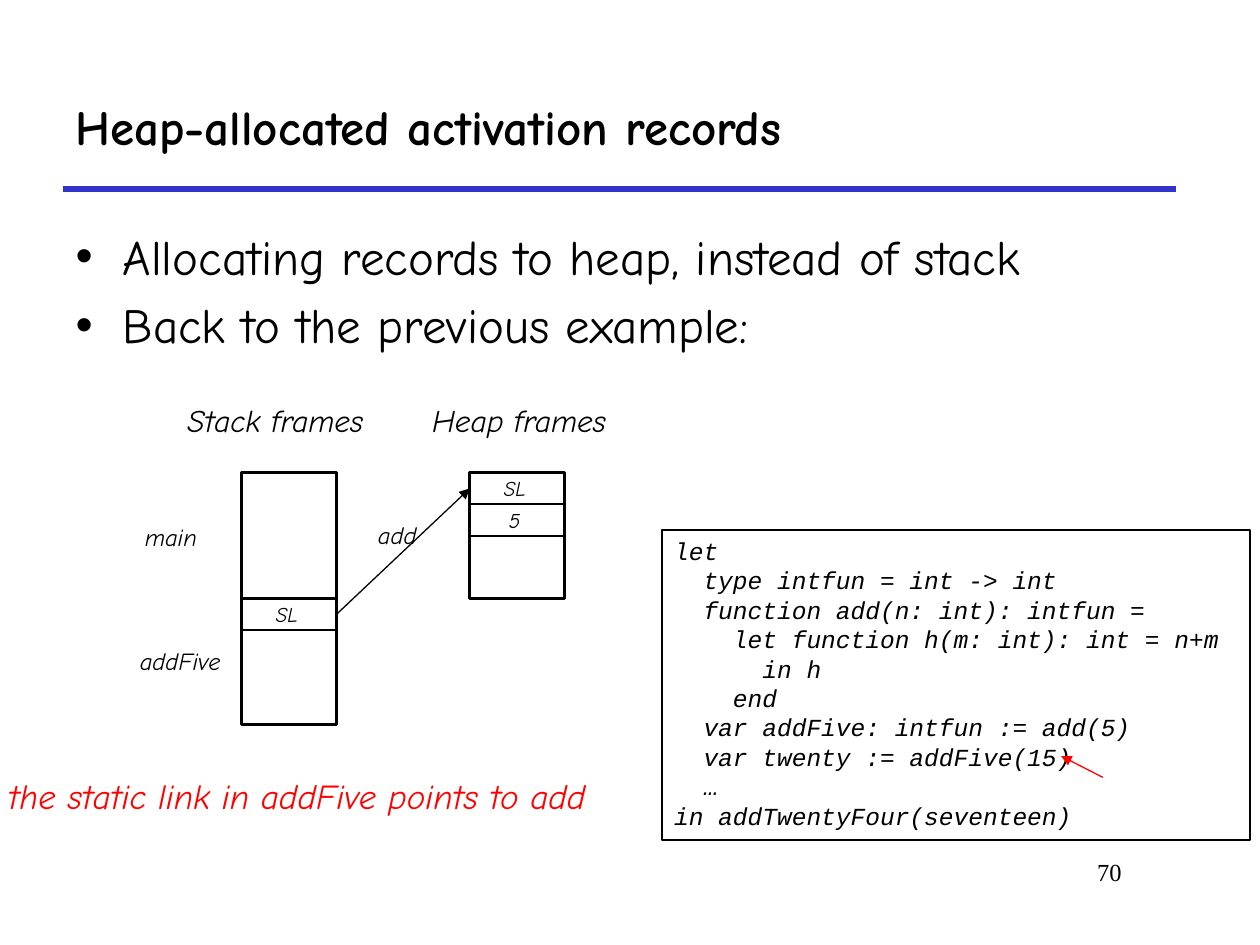
from lxml.etree import SubElement
from pptx import Presentation
from pptx.dml.color import RGBColor
from pptx.enum.shapes import MSO_CONNECTOR, MSO_SHAPE
from pptx.enum.text import MSO_ANCHOR, MSO_AUTO_SIZE, PP_ALIGN
from pptx.oxml.ns import qn
from pptx.util import Cm, Pt

BLACK = RGBColor(0x00, 0x00, 0x00)
RED = RGBColor(0xFF, 0x00, 0x00)
BLUE = RGBColor(0x33, 0x33, 0xCC)
HAND, CODE, SERIF = "Comic Neue", "Courier New", "Times New Roman"

STACK_LEFT, HEAP_LEFT, FRAMES_TOP = 4.87, 9.47, 9.53
FRAME_WIDTH, FRAME_HEIGHT = 1.91, 2.54
SLOT_HEIGHT = FRAME_HEIGHT / 4

BULLETS = [
    "Allocating records to heap, instead of stack",
    "Back to the previous example:",
]
PROGRAM = [
    "let",
    "  type intfun = int -> int",
    "  function add(n: int): intfun =",
    "    let function h(m: int): int = n+m",
    "      in h",
    "    end",
    "  var addFive: intfun := add(5)",
    "  var twenty := addFive(15)",
    "  …",
    "in addTwentyFour(seventeen)",
]
LABELS = [
    ("Stack frames", 3.53, 7.95, 4.6, 1.02, 18, BLACK),
    ("Heap frames", 8.46, 7.95, 4.39, 1.02, 18, BLACK),
    ("main", 2.67, 10.39, 1.7, 0.86, 14, BLACK),
    ("add", 7.37, 10.36, 1.35, 0.86, 14, BLACK),
    ("addFive", 2.57, 12.9, 2.31, 0.86, 14, BLACK),
    ("SL", 9.91, 9.47, 1.04, 0.76, 12, BLACK),
    ("5", 10.01, 10.11, 0.79, 0.76, 12, BLACK),
    ("SL", 5.31, 12.01, 1.04, 0.76, 12, BLACK),
    ("the static link in addFive points to add", -0.08, 15.49, 13.69, 1.12, 20, RED),
]


def place(shape, left, top, width, height):
    """Move and size a shape, in centimetres."""
    shape.left, shape.top = Cm(left), Cm(top)
    shape.width, shape.height = Cm(width), Cm(height)


def add_span(para, text, size, face=HAND, color=BLACK, bold=False, italic=False):
    """Append one formatted run to a paragraph."""
    span = para.add_run()
    span.text = text
    span.font.name = face
    span.font.size = Pt(size)
    span.font.color.rgb = color
    span.font.bold = bold
    span.font.italic = italic


def add_title(page, text):
    """Fill the title placeholder."""
    place(page.shapes.title, 1.27, 1.27, 22.43, 2.54)
    frame = page.shapes.title.text_frame
    frame.vertical_anchor = MSO_ANCHOR.MIDDLE
    frame.auto_size = MSO_AUTO_SIZE.NONE
    para = frame.paragraphs[0]
    para.alignment = PP_ALIGN.LEFT
    add_span(para, text, 28, bold=True)


def add_bullets(page, items):
    """Fill the body placeholder with a bulleted list."""
    body = page.placeholders[1]
    place(body, 1.27, 4.43, 23.06, 12.27)
    frame = body.text_frame
    frame.auto_size = MSO_AUTO_SIZE.NONE
    for index, item in enumerate(items):
        para = frame.add_paragraph() if index else frame.paragraphs[0]
        para.space_before = Pt(5.6 if index else 0)
        properties = para._p.get_or_add_pPr()
        properties.set("marL", str(Cm(0.95)))
        properties.set("indent", str(Cm(-0.95)))
        SubElement(properties, qn("a:buChar")).set("char", "•")
        add_span(para, item, 28)


def add_label(page, text, left, top, width, height, size, color):
    """Add a one-line italic label."""
    box = page.shapes.add_textbox(Cm(left), Cm(top), Cm(width), Cm(height))
    box.text_frame.word_wrap = False
    box.text_frame.auto_size = MSO_AUTO_SIZE.SHAPE_TO_FIT_TEXT
    add_span(box.text_frame.paragraphs[0], text, size, color=color, italic=True)


def add_page_number(page, number):
    """Add the right-aligned page number."""
    box = page.shapes.add_textbox(Cm(17.58), Cm(17.15), Cm(5.28), Cm(1.27))
    box.text_frame.word_wrap = True
    para = box.text_frame.paragraphs[0]
    para.alignment = PP_ALIGN.RIGHT
    add_span(para, number, 14, SERIF)


def add_rectangle(page, left, top, width, height, weight):
    """Add an unfilled rectangle with a black outline."""
    box = page.shapes.add_shape(
        MSO_SHAPE.RECTANGLE, Cm(left), Cm(top), Cm(width), Cm(height)
    )
    box.shadow.inherit = False
    box.fill.background()
    box.line.color.rgb = BLACK
    box.line.width = Pt(weight)
    return box


def add_frame(page, left, top):
    """Add the outline of an activation record."""
    return add_rectangle(page, left, top, FRAME_WIDTH, FRAME_HEIGHT, 1.5)


def add_slot(page, left, top):
    """Add one slot of an activation record."""
    return add_rectangle(page, left, top, FRAME_WIDTH, SLOT_HEIGHT, 1)


def add_program(page, lines):
    """Add the program listing in its outlined box."""
    box = add_rectangle(page, 13.34, 10.68, 11.86, 6.25, 1)
    frame = box.text_frame
    frame.word_wrap = False
    frame.auto_size = MSO_AUTO_SIZE.SHAPE_TO_FIT_TEXT
    frame.vertical_anchor = MSO_ANCHOR.TOP
    for index, line in enumerate(lines):
        para = frame.add_paragraph() if index else frame.paragraphs[0]
        para.alignment = PP_ALIGN.LEFT
        add_span(para, line, 14, CODE, italic=True)


def add_line(page, start, end, color, weight, arrow=False):
    """Add a straight line, with an arrowhead at its end if asked."""
    line = page.shapes.add_connector(
        MSO_CONNECTOR.STRAIGHT, *(Cm(value) for value in start + end)
    )
    line.line.color.rgb = color
    line.line.width = Pt(weight)
    if arrow:
        SubElement(line.line._get_or_add_ln(), qn("a:tailEnd")).set("type", "triangle")
    SubElement(line._element.spPr, qn("a:effectLst"))
    return line


def add_frames(page):
    """Draw the stack and heap records and the static link between them."""
    second_top = FRAMES_TOP + FRAME_HEIGHT
    add_frame(page, STACK_LEFT, FRAMES_TOP)
    add_frame(page, STACK_LEFT, second_top)
    add_frame(page, HEAP_LEFT, FRAMES_TOP)
    stack_link = add_slot(page, STACK_LEFT, second_top)
    heap_link = add_slot(page, HEAP_LEFT, FRAMES_TOP)
    add_slot(page, HEAP_LEFT, FRAMES_TOP + SLOT_HEIGHT)
    start = (STACK_LEFT + FRAME_WIDTH, second_top + SLOT_HEIGHT / 2)
    end = (HEAP_LEFT, FRAMES_TOP + SLOT_HEIGHT / 2)
    link = add_line(page, start, end, BLACK, 0.75, arrow=True)
    link.begin_connect(stack_link, 3)
    link.end_connect(heap_link, 1)


def main():
    """Build the slide and save it."""
    deck = Presentation()
    deck.slide_width, deck.slide_height = Cm(25.4), Cm(19.05)
    page = deck.slides.add_slide(deck.slide_layouts[1])
    add_line(page, (1.27, 3.81), (23.7, 3.81), BLUE, 3)
    add_title(page, "Heap-allocated activation records")
    add_bullets(page, BULLETS)
    add_page_number(page, "70")
    add_program(page, PROGRAM)
    add_frames(page)
    for label in LABELS:
        add_label(page, *label)
    add_line(page, (22.23, 15.67), (21.39, 15.24), RED, 0.75, arrow=True)
    deck.save("out.pptx")


if __name__ == "__main__":
    main()
